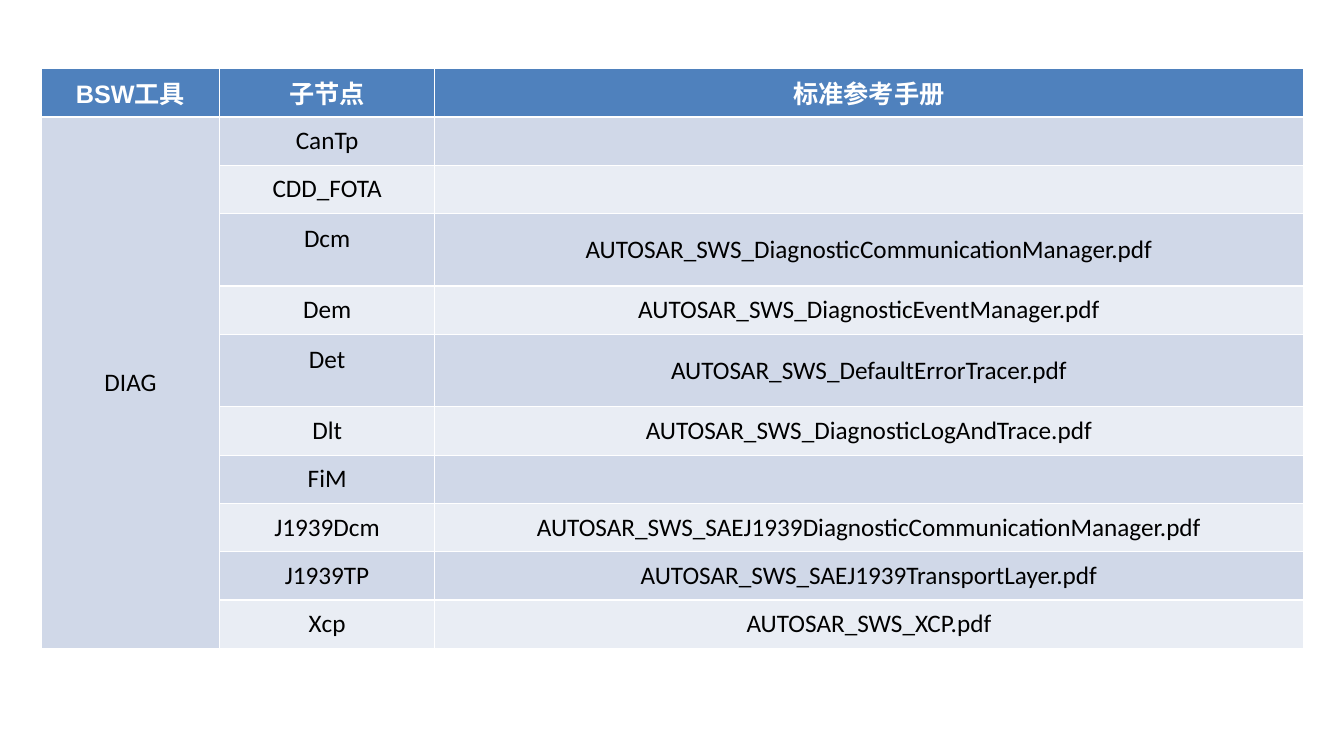
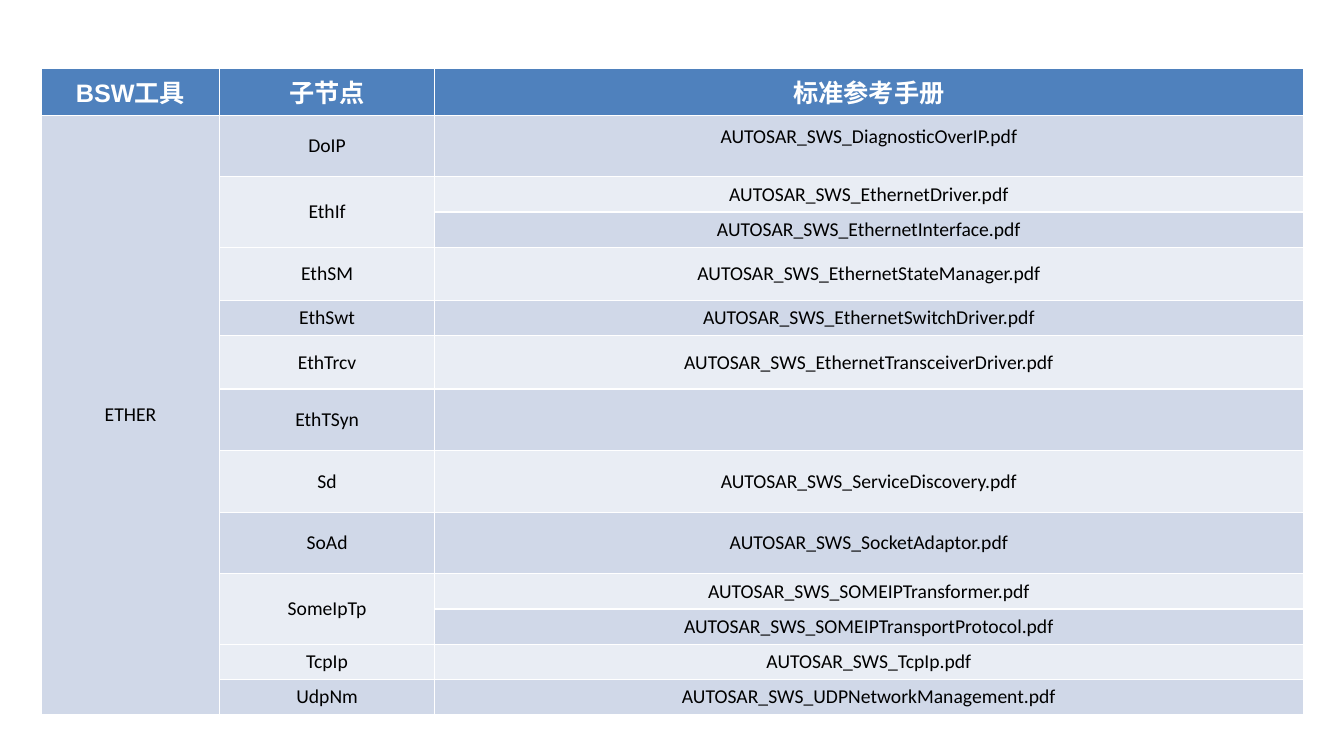
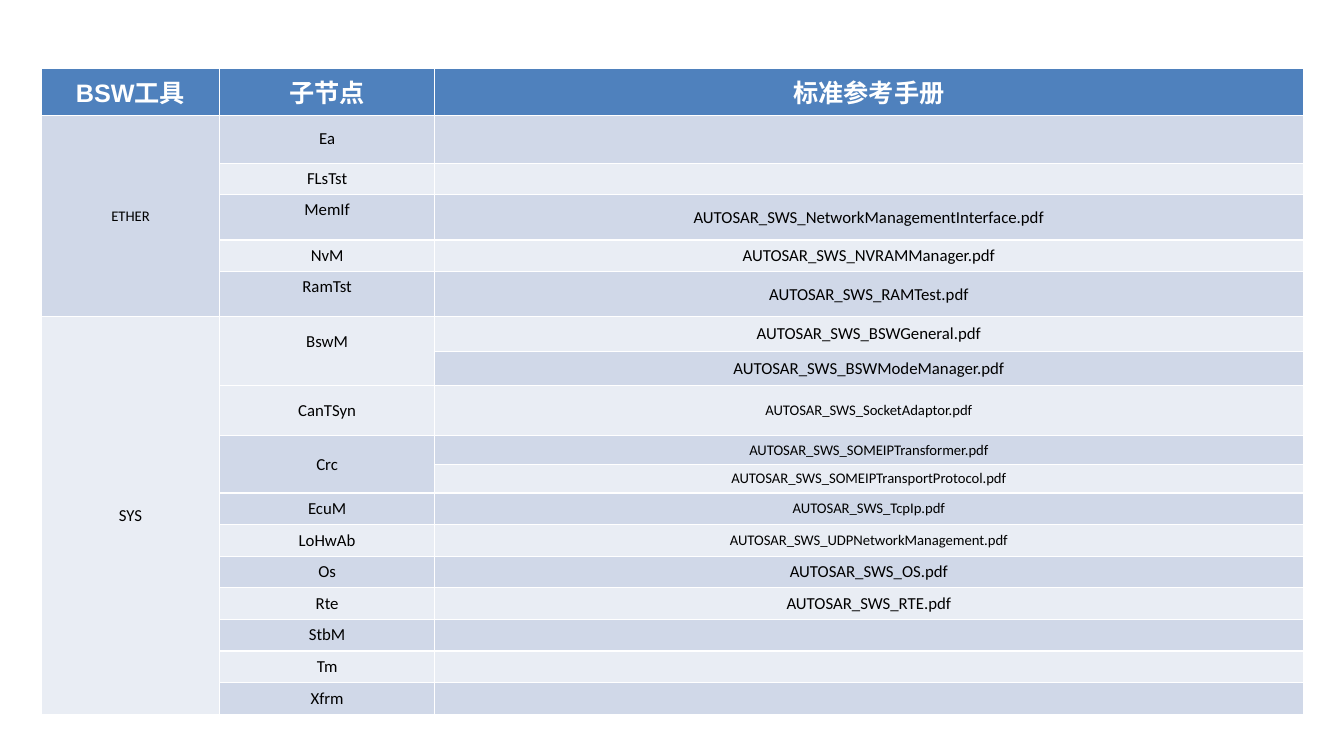
from pptx import Presentation
from pptx.dml.color import RGBColor
from pptx.enum.text import MSO_ANCHOR, PP_ALIGN
from pptx.util import Pt

HEADER_FILL = "4F81BD"
BAND_FILLS = ("E9EDF4", "D0D8E8")
WHITE = "FFFFFF"
BLACK = "000000"
HEADINGS = ("BSW工具", "子节点", "标准参考手册")
HEADER_SIZE = 18
COLUMN_WIDTHS = (127.5, 153.4, 620.6)
TABLE_LEFT, TABLE_TOP = 29.5, 49

# Each row holds tool, node, manual and height; None continues the cell above.
TABLES = [
    {
        "size": 18,
        "header_height": 34.5,
        "small_texts": (),
        "bottom_margins": {"Dcm": 18.6, "Det": 18.6},
        "rows": [
            ("DIAG", "CanTp", "", 34.5),
            (None, "CDD_FOTA", "", 34.5),
            (None, "Dcm", "AUTOSAR_SWS_DiagnosticCommunicationManager.pdf", 51.8),
            (None, "Dem", "AUTOSAR_SWS_DiagnosticEventManager.pdf", 34.5),
            (None, "Det", "AUTOSAR_SWS_DefaultErrorTracer.pdf", 51.8),
            (None, "Dlt", "AUTOSAR_SWS_DiagnosticLogAndTrace.pdf", 34.5),
            (None, "FiM", "", 34.5),
            (None, "J1939Dcm", "AUTOSAR_SWS_SAEJ1939DiagnosticCommunicationManager.pdf", 34.5),
            (None, "J1939TP", "AUTOSAR_SWS_SAEJ1939TransportLayer.pdf", 34.5),
            (None, "Xcp", "AUTOSAR_SWS_XCP.pdf", 34.5),
        ],
    },
    {
        "size": 14,
        "header_height": 25.2,
        "small_texts": (),
        "bottom_margins": {"AUTOSAR_SWS_DiagnosticOverIP.pdf": 16.6},
        "rows": [
            ("ETHER", "DoIP", "AUTOSAR_SWS_DiagnosticOverIP.pdf", 44),
            (None, "EthIf", "AUTOSAR_SWS_EthernetDriver.pdf", 25.2),
            (None, None, "AUTOSAR_SWS_EthernetInterface.pdf", 25.2),
            (None, "EthSM", "AUTOSAR_SWS_EthernetStateManager.pdf", 38),
            (None, "EthSwt", "AUTOSAR_SWS_EthernetSwitchDriver.pdf", 25.2),
            (None, "EthTrcv", "AUTOSAR_SWS_EthernetTransceiverDriver.pdf", 38),
            (None, "EthTSyn", "", 44),
            (None, "Sd", "AUTOSAR_SWS_ServiceDiscovery.pdf", 44),
            (None, "SoAd", "AUTOSAR_SWS_SocketAdaptor.pdf", 44),
            (None, "SomeIpTp", "AUTOSAR_SWS_SOMEIPTransformer.pdf", 25.2),
            (None, None, "AUTOSAR_SWS_SOMEIPTransportProtocol.pdf", 25.2),
            (None, "TcpIp", "AUTOSAR_SWS_TcpIp.pdf", 25.2),
            (None, "UdpNm", "AUTOSAR_SWS_UDPNetworkManagement.pdf", 25.2),
        ],
    },
    {
        "size": 12,
        "header_height": 29.5,
        "small_texts": (
            "ETHER",
            "AUTOSAR_SWS_SocketAdaptor.pdf",
            "AUTOSAR_SWS_SOMEIPTransformer.pdf",
            "AUTOSAR_SWS_SOMEIPTransportProtocol.pdf",
            "AUTOSAR_SWS_TcpIp.pdf",
            "AUTOSAR_SWS_UDPNetworkManagement.pdf",
        ),
        "bottom_margins": {"MemIf": 14, "RamTst": 14, "BswM": 16.6},
        "rows": [
            ("ETHER", "Ea", "", 34.3),
            (None, "FLsTst", "", 22.6),
            (None, "MemIf", "AUTOSAR_SWS_NetworkManagementInterface.pdf", 32.3),
            (None, "NvM", "AUTOSAR_SWS_NVRAMManager.pdf", 22.6),
            (None, "RamTst", "AUTOSAR_SWS_RAMTest.pdf", 32.3),
            ("SYS", "BswM", "AUTOSAR_SWS_BSWGeneral.pdf", 24.5),
            (None, None, "AUTOSAR_SWS_BSWModeManager.pdf", 24.5),
            (None, "CanTSyn", "AUTOSAR_SWS_SocketAdaptor.pdf", 36),
            (None, "Crc", "AUTOSAR_SWS_SOMEIPTransformer.pdf", 20.4),
            (None, None, "AUTOSAR_SWS_SOMEIPTransportProtocol.pdf", 20.4),
            (None, "EcuM", "AUTOSAR_SWS_TcpIp.pdf", 22.6),
            (None, "LoHwAb", "AUTOSAR_SWS_UDPNetworkManagement.pdf", 22.6),
            (None, "Os", "AUTOSAR_SWS_OS.pdf", 22.6),
            (None, "Rte", "AUTOSAR_SWS_RTE.pdf", 22.6),
            (None, "StbM", "", 22.6),
            (None, "Tm", "", 22.6),
            (None, "Xfrm", "", 22.6),
        ],
    },
]


def set_color(color_format, hex_color):
    color_format.rgb = RGBColor.from_string(hex_color)


def fill_cell(cell, text, size, font_name, text_color, fill_color, bold):
    cell.fill.solid()
    set_color(cell.fill.fore_color, fill_color)
    cell.vertical_anchor = MSO_ANCHOR.MIDDLE
    paragraph = cell.text_frame.paragraphs[0]
    if text:
        paragraph.text = text
    paragraph.alignment = PP_ALIGN.CENTER
    paragraph.font.size = Pt(size)
    paragraph.font.name = font_name
    paragraph.font.bold = bold
    set_color(paragraph.font.color, text_color)


presentation = Presentation()
presentation.slide_width = Pt(960)
presentation.slide_height = Pt(540)
blank_layout = presentation.slide_layouts[6]

for content in TABLES:
    rows = content["rows"]
    heights = [content["header_height"]] + [row[-1] for row in rows]
    slide = presentation.slides.add_slide(blank_layout)
    table = slide.shapes.add_table(
        len(heights), len(HEADINGS), Pt(TABLE_LEFT), Pt(TABLE_TOP),
        Pt(sum(COLUMN_WIDTHS)), Pt(sum(heights)),
    ).table

    for column, width in zip(table.columns, COLUMN_WIDTHS):
        column.width = Pt(width)
    for table_row, height in zip(table.rows, heights):
        table_row.height = Pt(height)

    for column_index, heading in enumerate(HEADINGS):
        fill_cell(table.cell(0, column_index), heading, HEADER_SIZE, "Arial", WHITE, HEADER_FILL, True)

        texts = [row[column_index] for row in rows]
        for row_index, text in enumerate(texts, start=1):
            cell = table.cell(row_index, column_index)
            size = 10.5 if text in content["small_texts"] else content["size"]
            fill_cell(cell, text, size, "Calibri", BLACK, BAND_FILLS[row_index % 2], False)
            if text in content["bottom_margins"]:
                cell.margin_bottom = Pt(content["bottom_margins"][text])

        starts = [index for index, text in enumerate(texts, start=1) if text is not None]
        for start, following in zip(starts, starts[1:] + [len(heights)]):
            if following - start > 1:
                table.cell(start, column_index).merge(table.cell(following - 1, column_index))

presentation.save("out.pptx")
